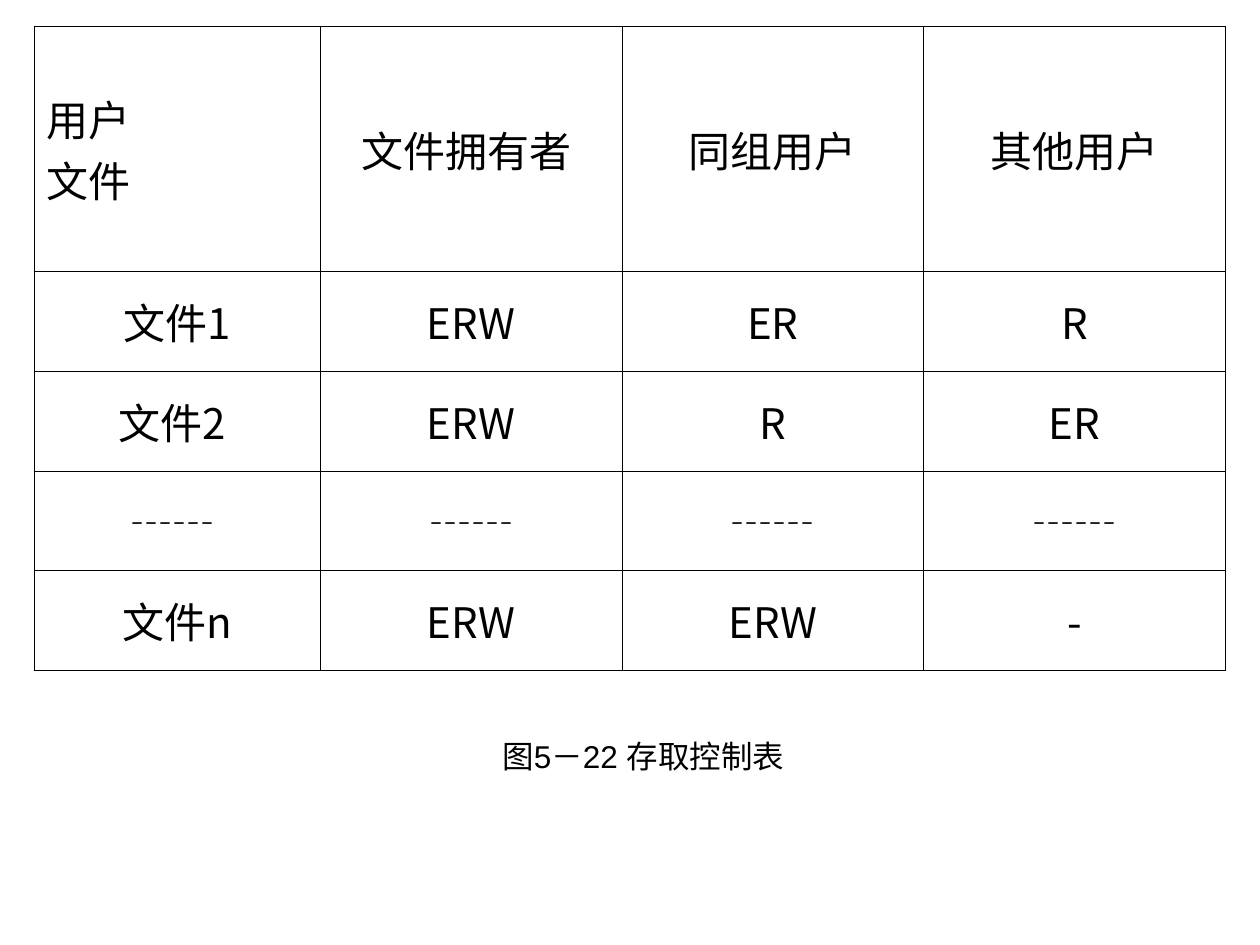
import dataclasses

import lxml.etree
import pptx
import pptx.dml.color
import pptx.enum.text
import pptx.oxml.ns
import pptx.util

Cm = pptx.util.Cm
Align = pptx.enum.text.PP_ALIGN
Anchor = pptx.enum.text.MSO_ANCHOR


@dataclasses.dataclass(frozen=True)
class Theme:
    """Colours, fonts and sizes of the slide."""
    ink: str = "000000"
    cjk_font: str = "Noto Sans CJK SC"
    caption_font: str = "Arial"
    table_size: float = 24
    caption_size: float = 18
    border_width: float = 0.45


THEME = Theme()
ACCESS_ROWS = [
    ["用户　\n文件", "文件拥有者 ", "同组用户", "其他用户"],
    ["文件1", "ERW", "ER", "R"],
    ["文件2 ", "ERW", "R", "ER"],
    ["┄┄ ", "┄┄", "┄┄", "┄┄"],
    ["文件n", "ERW", "ERW", "-"],
]
COLUMN_WIDTHS = [5.77] + [6.08] * 3
ROW_HEIGHTS = [4.95] + [2.01] * 4


def apply_format(target, values):
    """Set each named attribute of the target."""
    for name, value in values.items():
        setattr(target, name, value)


def add_child(parent, tag, **attributes):
    """Append a DrawingML element to the parent."""
    return lxml.etree.SubElement(parent, pptx.oxml.ns.qn(tag), attributes)


def write_text(frame, text, align, font, size):
    """Write one paragraph per line of text."""
    for index, line in enumerate(text.split("\n")):
        para = frame.add_paragraph() if index else frame.paragraphs[0]
        para.alignment = align
        span = para.add_run()
        span.text = line
        apply_format(span.font, {"name": font, "size": pptx.util.Pt(size), "bold": False})
        span.font.color.rgb = pptx.dml.color.RGBColor.from_string(THEME.ink)
        add_child(span.font._element, "a:ea", typeface=THEME.cjk_font)


def draw_borders(cell):
    """Give the cell a thin line on all four sides."""
    properties = cell._tc.get_or_add_tcPr()
    for side in ("a:lnL", "a:lnR", "a:lnT", "a:lnB"):
        line = add_child(properties, side, w=str(pptx.util.Pt(THEME.border_width)))
        add_child(add_child(line, "a:solidFill"), "a:srgbClr", val=THEME.ink)


def add_access_table(page):
    """Add the table of access rights per file and user."""
    table = page.shapes.add_table(
        len(ROW_HEIGHTS), len(COLUMN_WIDTHS), Cm(0.69), Cm(0.53),
        Cm(sum(COLUMN_WIDTHS)), Cm(sum(ROW_HEIGHTS))).table
    apply_format(table, {"first_row": False, "horz_banding": False})
    for column, width in zip(table.columns, COLUMN_WIDTHS):
        column.width = Cm(width)
    for row, height, texts in zip(table.rows, ROW_HEIGHTS, ACCESS_ROWS):
        row.height = Cm(height)
        for cell, text in zip(row.cells, texts):
            align = Align.LEFT if "\n" in text else Align.CENTER
            write_text(cell.text_frame, text, align, THEME.cjk_font, THEME.table_size)
            cell.vertical_anchor = Anchor.MIDDLE
            draw_borders(cell)
            cell.fill.background()


def add_caption(page, text):
    """Add the centred caption below the table."""
    box = page.shapes.add_textbox(Cm(9.58), Cm(14.73), Cm(6.78), Cm(1.02))
    apply_format(box.text_frame, {
        "word_wrap": False,
        "vertical_anchor": Anchor.MIDDLE,
        "auto_size": pptx.enum.text.MSO_AUTO_SIZE.SHAPE_TO_FIT_TEXT,
    })
    write_text(box.text_frame, text, Align.CENTER, THEME.caption_font, THEME.caption_size)


def main():
    """Build and save the deck."""
    deck = pptx.Presentation()
    apply_format(deck, {"slide_width": Cm(25.4), "slide_height": Cm(19.05)})
    page = deck.slides.add_slide(deck.slide_layouts[6])
    add_access_table(page)
    add_caption(page, "图5－22 存取控制表")
    deck.save("out.pptx")


if __name__ == "__main__":
    main()
